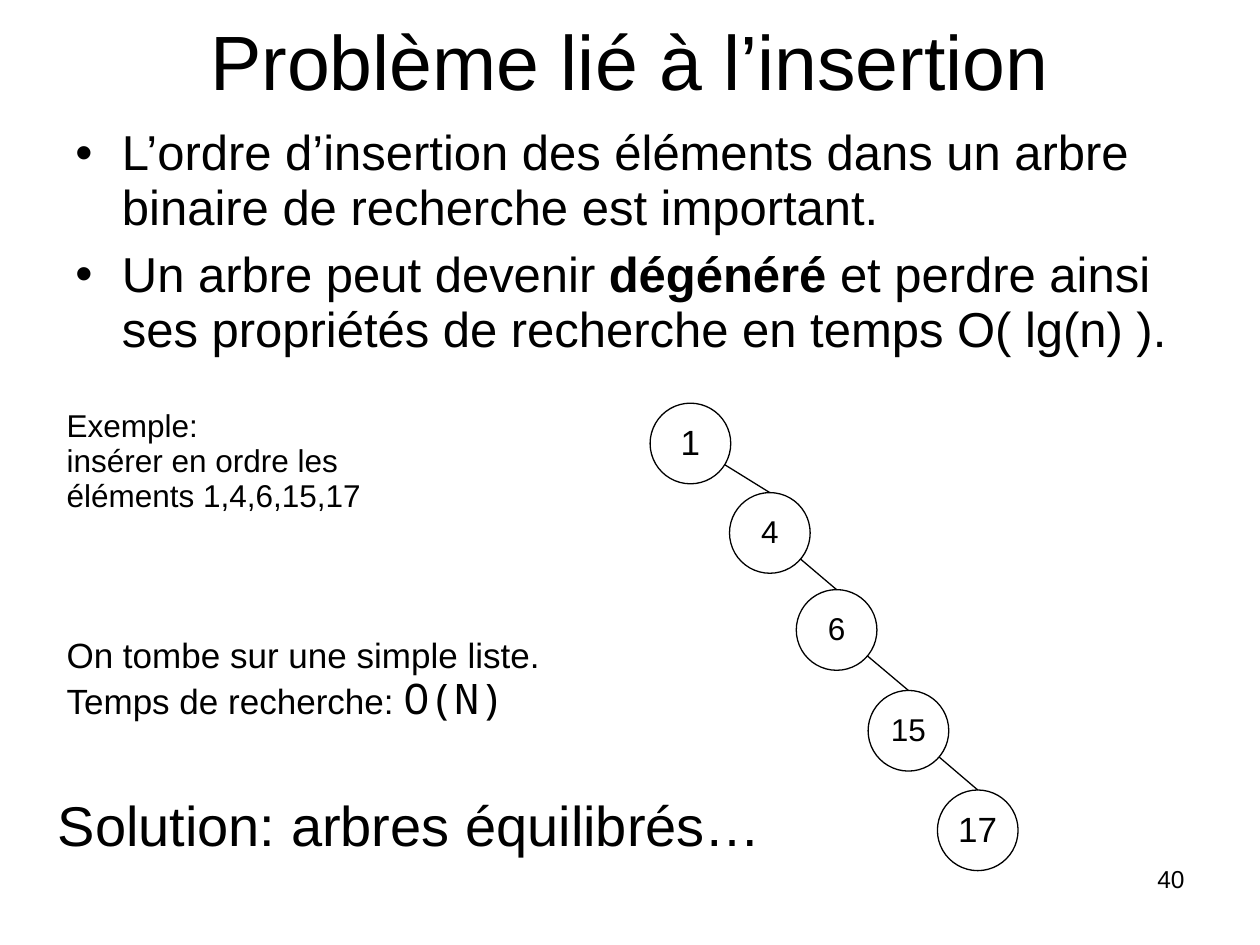
"""Build a slide on the insertion problem of binary search trees."""
from dataclasses import dataclass
from itertools import pairwise
from math import hypot
from typing import Optional

from lxml import etree
from pptx import Presentation
from pptx import util as u
from pptx.dml.color import RGBColor
from pptx.enum import shapes, text
from pptx.oxml.ns import qn


@dataclass(frozen=True)
class Theme:
    ink: RGBColor = RGBColor(0, 0, 0)
    font: str = "Arial"
    mono: str = "Noto Sans Mono"
    title: float = 44
    solution: float = 32
    body: float = 28
    code: float = 24
    large: float = 20
    small: float = 18
    number: float = 14
    line_spacing: float = 0.93
    line_width: float = 0.75
    node_size: float = 0.64
    bullet_indent: float = 0.37


THEME = Theme()


@dataclass(frozen=True)
class Run:
    words: str
    size: float
    font: str = THEME.font
    bold: Optional[bool] = None


@dataclass(frozen=True)
class TextBlock:
    left: float
    top: float
    width: float
    height: float
    paragraphs: list[list[Run]]
    align: text.PP_ALIGN = text.PP_ALIGN.LEFT
    anchor: text.MSO_ANCHOR = text.MSO_ANCHOR.TOP
    wrap: bool = True
    bulleted: bool = False
    space_before: float = 0


@dataclass(frozen=True)
class Node:
    label: str
    left: float
    top: float
    size: float

    @property
    def center(self) -> tuple[float, float]:
        radius = THEME.node_size / 2
        return self.left + radius, self.top + radius


BLOCKS = [
    TextBlock(7.17, 6.83, 2.33, 0.52, [[Run("40", THEME.number)]], text.PP_ALIGN.RIGHT),
    TextBlock(0.5, -0.11, 9, 1.25, [[Run("Problème lié à l’insertion", THEME.title)]],
              text.PP_ALIGN.CENTER, text.MSO_ANCHOR.MIDDLE),
    TextBlock(0.5, 0.96, 9, 1.96, [
        [Run("L’ordre d’insertion des éléments dans un arbre binaire de recherche est important.",
             THEME.body)],
        [Run("Un arbre peut devenir ", THEME.body),
         Run("dégénéré", THEME.body, bold=True),
         Run(" et perdre ainsi ses propriétés de recherche en temps O( lg(n) ).", THEME.body)],
    ], bulleted=True, space_before=7),
    TextBlock(0.43, 3.2, 3.02, 0.94, [
        [Run("Exemple:", THEME.small)],
        [Run("insérer en ordre les éléments 1,4,6,15,17", THEME.small)],
    ]),
    TextBlock(0.43, 5.01, 4.02, 0.79, [
        [Run("On tombe sur une simple liste.", THEME.large)],
        [Run("Temps de recherche: ", THEME.large), Run("O(N)", THEME.code, THEME.mono)],
    ]),
    TextBlock(0.36, 6.27, 5.79, 0.6, [[Run("Solution: arbres équilibrés…", THEME.solution)]],
              wrap=False),
]

NODES = [
    Node("1", 5.16, 3.2, THEME.large),
    Node("4", 5.79, 3.91, THEME.small),
    Node("6", 6.32, 4.68, THEME.small),
    Node("15", 6.89, 5.48, THEME.small),
    Node("17", 7.44, 6.27, THEME.large),
]


def add_run(paragraph, run: Run) -> None:
    part = paragraph.add_run()
    part.text = run.words
    part.font.name = run.font
    part.font.size = u.Pt(run.size)
    part.font.bold = run.bold
    part.font.color.rgb = THEME.ink


def add_bullet(paragraph) -> None:
    properties = paragraph._p.get_or_add_pPr()
    indent = u.Inches(THEME.bullet_indent)
    properties.set("marL", str(indent))
    properties.set("indent", str(-indent))
    etree.SubElement(properties, qn("a:buFont"), typeface=THEME.font)
    etree.SubElement(properties, qn("a:buChar"), char="•")


def add_text(slide, block: TextBlock) -> None:
    shape = slide.shapes.add_textbox(u.Inches(block.left), u.Inches(block.top),
                                     u.Inches(block.width), u.Inches(block.height))
    frame = shape.text_frame
    frame.word_wrap = block.wrap
    frame.vertical_anchor = block.anchor
    for index, runs in enumerate(block.paragraphs):
        paragraph = frame.add_paragraph() if index else frame.paragraphs[0]
        paragraph.alignment = block.align
        paragraph.line_spacing = THEME.line_spacing
        if index:
            paragraph.space_before = u.Pt(block.space_before)
        if block.bulleted:
            add_bullet(paragraph)
        for run in runs:
            add_run(paragraph, run)


def add_node(slide, node: Node) -> None:
    size = u.Inches(THEME.node_size)
    shape = slide.shapes.add_shape(shapes.MSO_SHAPE.OVAL, u.Inches(node.left),
                                   u.Inches(node.top), size, size)
    shape.shadow.inherit = False
    shape.fill.background()
    shape.line.color.rgb = THEME.ink
    shape.line.width = u.Pt(THEME.line_width)
    frame = shape.text_frame
    frame.margin_left = frame.margin_right = frame.margin_top = frame.margin_bottom = 0
    frame.word_wrap = False
    frame.vertical_anchor = text.MSO_ANCHOR.MIDDLE
    paragraph = frame.paragraphs[0]
    paragraph.alignment = text.PP_ALIGN.CENTER
    paragraph.line_spacing = THEME.line_spacing
    add_run(paragraph, Run(node.label, node.size))


def add_edge(slide, parent: Node, child: Node) -> None:
    center_x, center_y = parent.center
    end_x, end_y = child.center[0], child.top
    ratio = THEME.node_size / 2 / hypot(end_x - center_x, end_y - center_y)
    start_x = center_x + ratio * (end_x - center_x)
    start_y = center_y + ratio * (end_y - center_y)
    edge = slide.shapes.add_connector(shapes.MSO_CONNECTOR.STRAIGHT, u.Inches(start_x),
                                      u.Inches(start_y), u.Inches(end_x), u.Inches(end_y))
    edge.line.color.rgb = THEME.ink
    edge.line.width = u.Pt(THEME.line_width)
    etree.SubElement(edge._element.spPr, qn("a:effectLst"))


def main() -> None:
    presentation = Presentation()
    presentation.slide_width = u.Inches(10)
    presentation.slide_height = u.Inches(7.5)
    slide = presentation.slides.add_slide(presentation.slide_layouts[6])
    for block in BLOCKS:
        add_text(slide, block)
    for node in NODES:
        add_node(slide, node)
    for parent, child in pairwise(NODES):
        add_edge(slide, parent, child)
    presentation.save("out.pptx")


if __name__ == "__main__":
    main()
